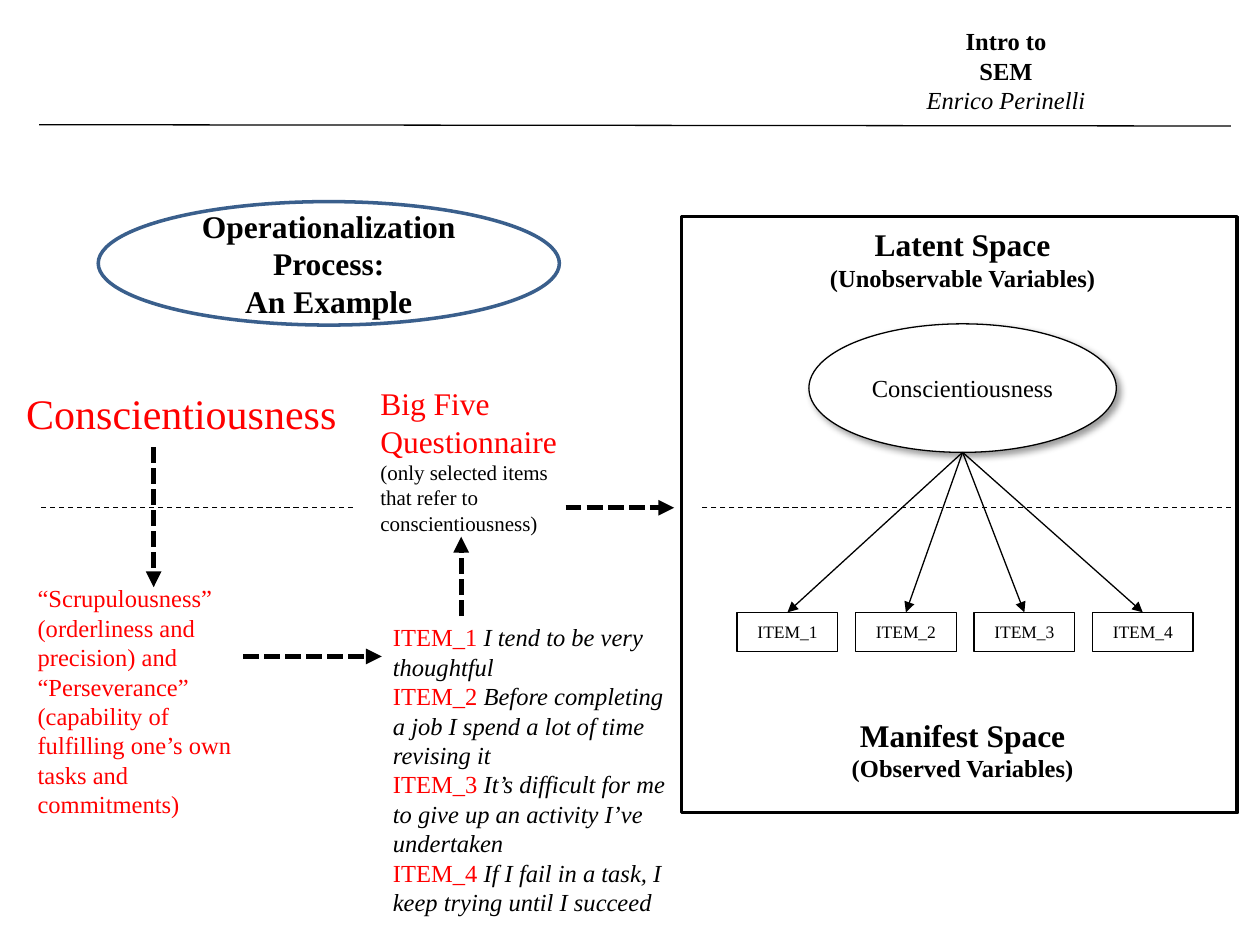
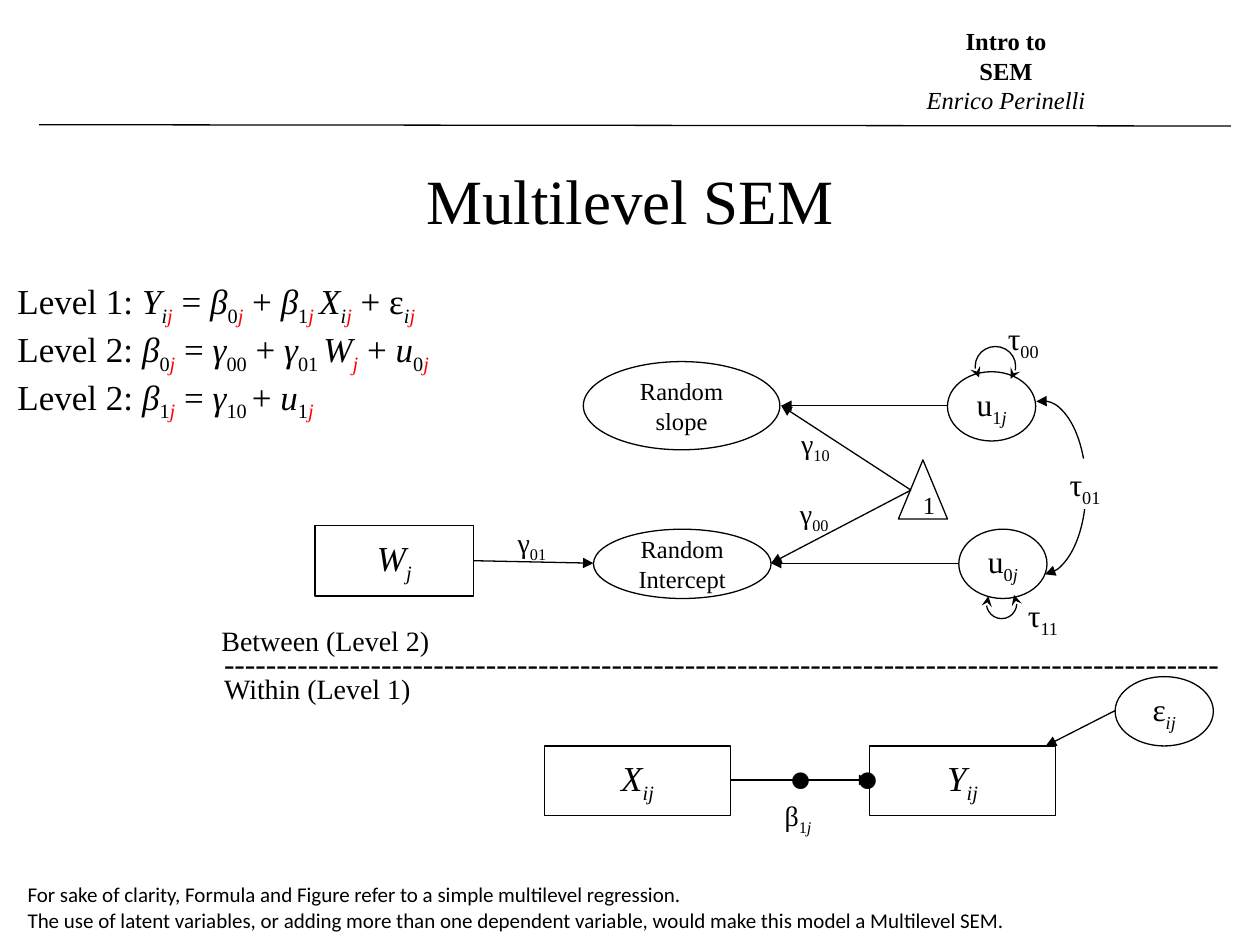
from dataclasses import dataclass

import pptx
import pptx.dml.color
import pptx.enum.dml
import pptx.enum.shapes
import pptx.enum.text
import pptx.oxml
import pptx.oxml.ns
import pptx.util

Inches = pptx.util.Inches
Pt = pptx.util.Pt
Shape = pptx.enum.shapes.MSO_SHAPE
Dash = pptx.enum.dml.MSO_LINE
Align = pptx.enum.text.PP_ALIGN


def color(value):
    return pptx.dml.color.RGBColor.from_string(value)


@dataclass(frozen=True)
class Theme:
    black = color("000000")
    red = color("FF0000")
    white = color("FFFFFF")
    blue = color("3A5F8C")
    serif = "Times New Roman"
    sans = "Calibri"
    title = 36
    dot = 80
    concept = 24
    formula = 20
    heading = 18
    label = 16
    body = 14
    note = 12
    item = 10
    thin = 0.75
    frame = 2
    thick = 3


THEME = Theme()


# Text: a paragraph is a list of (text, style) runs.
# Style letters: b bold, i italic, r red, s subscript.
def write(shape, paragraphs, size, align=Align.LEFT, font=THEME.serif):
    """Fill a shape; a run may carry its own size as a third value."""
    frame = shape.text_frame
    for number, runs in enumerate(paragraphs):
        paragraph = frame.paragraphs[0] if number == 0 else frame.add_paragraph()
        paragraph.alignment = align
        for text, style, *own_size in runs:
            run = paragraph.add_run()
            run.text = text
            run.font.name = font
            run.font.size = Pt(own_size[0] if own_size else size)
            run.font.bold = "b" in style
            run.font.italic = "i" in style
            run.font.color.rgb = THEME.red if "r" in style else THEME.black
            if "s" in style:
                run._r.get_or_add_rPr().set("baseline", "-25000")


def add_text(slide, box, paragraphs, size, align=Align.LEFT, wrap=False,
             font=THEME.serif):
    shape = slide.shapes.add_textbox(*map(Inches, box))
    shape.text_frame.word_wrap = wrap
    shape.text_frame.auto_size = pptx.enum.text.MSO_AUTO_SIZE.SHAPE_TO_FIT_TEXT
    write(shape, paragraphs, size, align, font)
    return shape


def add_node(slide, kind, box, paragraphs=(), size=THEME.body,
             line=THEME.black, width=THEME.thin):
    """Outlined shape with centred text."""
    shape = slide.shapes.add_shape(kind, *map(Inches, box))
    shape.shadow.inherit = False
    shape.fill.background()
    shape.line.color.rgb = line
    shape.line.width = Pt(width)
    shape.text_frame.vertical_anchor = pptx.enum.text.MSO_ANCHOR.MIDDLE
    write(shape, paragraphs, size, Align.CENTER)
    return shape


def add_effects(shape, content=""):
    properties = shape._element.spPr
    for old in properties.findall(pptx.oxml.ns.qn("a:effectLst")):
        properties.remove(old)
    namespace = pptx.oxml.ns.nsdecls("a")
    properties.append(pptx.oxml.parse_xml(
        f"<a:effectLst {namespace}>{content}</a:effectLst>"))


def add_arrowhead(shape, end, kind="triangle"):
    line = shape.line._get_or_add_ln()
    namespace = pptx.oxml.ns.nsdecls("a")
    line.append(pptx.oxml.parse_xml(f'<a:{end} {namespace} type="{kind}"/>'))


def add_line(slide, start, end, arrow=False, width=THEME.thin, dash=None):
    line = slide.shapes.add_connector(
        pptx.enum.shapes.MSO_CONNECTOR.STRAIGHT, *map(Inches, start + end))
    line.line.color.rgb = THEME.black
    line.line.width = Pt(width)
    if dash:
        line.line.dash_style = dash
    if arrow:
        add_arrowhead(line, "tailEnd")
    add_effects(line)
    return line


def add_arc(slide, box, start, end, head):
    """Double-headed arc, clockwise between two angles in degrees."""
    arc = add_node(slide, Shape.ARC, box)
    for index, angle in enumerate((start, end)):
        arc.adjustments[index] = angle * 0.6
    add_arrowhead(arc, "headEnd", head)
    add_arrowhead(arc, "tailEnd", head)


def add_header(slide):
    add_line(slide, (0.31, 0.99), (9.77, 1))
    add_text(slide, (7.25, 0.16, 1.47, 0.81),
             [[("Intro to", "b")], [("SEM", "b")], [("Enrico Perinelli", "i")]],
             THEME.body, Align.CENTER)


def build_operationalization(slide):
    add_header(slide)

    # Left: from the construct to the questionnaire
    add_node(slide, Shape.OVAL, (0.78, 1.6, 3.66, 0.98),
             [[("Operationalization Process:", "b")], [("An Example", "b")]],
             THEME.heading, THEME.blue, THEME.frame)
    add_text(slide, (0.11, 3.03, 2.69, 0.5), [[("Conscientiousness", "r")]],
             THEME.concept)
    add_text(slide, (0.2, 4.58, 1.91, 1.99),
             [[("“Scrupulousness” (orderliness and precision) and “Perseverance” "
                "(capability of fulfilling one’s own tasks and commitments)", "r")]],
             THEME.body, wrap=True)
    statements = ["I tend to be very thoughtful",
                  "Before completing a job I spend a lot of time revising it",
                  "It’s difficult for me to give up an activity I’ve undertaken",
                  "If I fail in a task, I keep trying until I succeed"]
    add_text(slide, (3.02, 4.89, 2.37, 2.69),
             [[(f"ITEM_{number} ", "r"), (statement, "i")]
              for number, statement in enumerate(statements, 1)],
             THEME.body, wrap=True)
    add_text(slide, (2.92, 3, 1.62, 1.31),
             [[("Big Five", "r", THEME.heading)],
              [("Questionnaire", "r", THEME.heading)],
              [("only selected items".join(("(", "")), "")],
              [("that refer to", "")], [("conscientiousness)", "")]], THEME.note)

    # Process arrows
    for start, end in [((1.22, 3.55), (1.22, 4.66)), ((1.93, 5.21), (3.03, 5.21)),
                       ((3.66, 4.89), (3.66, 4.26)), ((4.49, 4.03), (5.35, 4.03))]:
        add_line(slide, start, end, True, THEME.thick, Dash.SQUARE_DOT)

    # Border between latent and manifest space
    for right, left in [(2.8, 0.31), (9.77, 5.55)]:
        add_line(slide, (right, 4.03), (left, 4.03), dash=Dash.DASH)

    # Right: measurement model
    add_node(slide, Shape.RECTANGLE, (5.41, 1.72, 4.41, 4.73), width=THEME.frame)
    for box, space, variables in [
            ((6.48, 1.74, 2.32, 0.64), "Latent Space", "(Unobservable Variables)"),
            ((6.65, 5.63, 1.98, 0.64), "Manifest Space", "(Observed Variables)")]:
        add_text(slide, box, [[(space, "b", THEME.heading)], [(variables, "b")]],
                 THEME.body, Align.CENTER)
    factor = add_node(slide, Shape.OVAL, (6.42, 2.57, 2.44, 1.02),
                      [[("Conscientiousness", "")]])
    factor.fill.solid()
    factor.fill.fore_color.rgb = THEME.white
    add_effects(factor, '<a:outerShdw blurRad="50800" dist="38100" dir="2700000" '
                        'algn="tl" rotWithShape="0"><a:srgbClr val="000000">'
                        '<a:alpha val="40000"/></a:srgbClr></a:outerShdw>')
    item_width, item_top = 0.8, 4.86
    for index in range(len(statements)):
        left = 5.85 + 0.94 * index
        add_node(slide, Shape.RECTANGLE, (left, item_top, item_width, 0.31),
                 [[(f"ITEM_{index + 1}", "")]], THEME.item)
        add_line(slide, (7.64, 3.59), (left + item_width / 2, item_top), True)


def build_multilevel(slide):
    add_header(slide)
    add_text(slide, (0.47, 1.23, 9.06, 0.71), [[("Multilevel SEM", "")]],
             THEME.title, Align.CENTER, wrap=True)

    # Equations
    beta_0j = [("β", "i"), ("0", "s"), ("j", "sir")]
    beta_1j = [("β", "i"), ("1", "s"), ("j", "sir")]
    index_ij = [("i", "si"), ("j", "sir")]
    equals, plus = [(" = ", "")], [(" + ", "")]
    add_text(slide, (0.04, 2.17, 4.2, 1.11), [
        [("Level 1: ", ""), ("Y", "i")] + index_ij + equals + beta_0j + plus
        + beta_1j[:2] + [("j ", "sir"), ("X", "i")] + index_ij
        + [(" + ε", "")] + index_ij,
        [("Level 2: ", "")] + beta_0j + equals
        + [("γ", "i"), ("00", "s")] + plus + [("γ", "i"), ("01 ", "s"),
                                              ("W", "i"), ("j", "sir")]
        + plus + [("u", "i"), ("0", "s"), ("j", "sir")],
        [("Level 2: ", "")] + beta_1j + equals
        + [("γ", "i"), ("10 ", "s"), ("+ ", ""), ("u", "i"), ("1", "s"),
           ("j", "sir")],
    ], THEME.formula, wrap=True)

    # Level border
    add_text(slide, (1.66, 4.9, 1.87, 0.37), [[("Between (Level 2)", "")]], THEME.label)
    add_text(slide, (1.68, 5.28, 1.71, 0.37), [[("Within (Level 1)", "")]], THEME.label)
    add_text(slide, (1.68, 5.06, 8.2, 0.4), [[("-" * 95, "")]],
             THEME.heading, wrap=True)

    # Observed variables
    for box, symbol, index in [((2.5, 4.17, 1.26, 0.56), "W", "j"),
                               ((4.32, 5.92, 1.48, 0.55), "X", "ij"),
                               ((6.9, 5.92, 1.48, 0.55), "Y", "ij")]:
        add_node(slide, Shape.RECTANGLE, box, [[(symbol, "i"), (index, "si")]],
                 THEME.formula)

    # Random effects, residuals and constant
    add_node(slide, Shape.OVAL, (4.63, 2.87, 1.56, 0.7), [[("Random slope", "")]])
    add_node(slide, Shape.OVAL, (4.71, 4.2, 1.41, 0.55), [[("Random Intercept", "")]])
    for left, top, number in [(7.52, 2.95, "1"), (7.61, 4.2, "0")]:
        add_node(slide, Shape.OVAL, (left, top, 0.7, 0.55),
                 [[("u", ""), (number, "s"), ("j", "si")]], THEME.heading)
    add_node(slide, Shape.OVAL, (8.85, 5.37, 0.78, 0.55),
             [[("ε", ""), ("ij", "si")]], THEME.heading)
    add_node(slide, Shape.ISOSCELES_TRIANGLE, (7.13, 3.65, 0.39, 0.47), [[("1", "")]])

    # Paths
    for start, end in [((7.52, 3.22), (6.2, 3.22)), ((7.23, 3.89), (6.2, 3.22)),
                       ((7.23, 3.89), (6.12, 4.47)), ((7.61, 4.47), (6.12, 4.47)),
                       ((3.76, 4.45), (4.71, 4.47)), ((5.8, 6.19), (6.9, 6.19)),
                       ((8.85, 5.64), (8.3, 5.92))]:
        add_line(slide, start, end, True)
    for left in (6.12, 6.65):
        add_text(slide, (left, 5.09, 0.48, 1.45), [[(".", "")]], THEME.dot, wrap=True)

    # Variances and covariance
    add_arc(slide, (7.92, 3.18, 0.7, 1.38), 266.24, 88, "triangle")
    add_arc(slide, (7.74, 2.75, 0.32, 0.31), 145, 40, "stealth")
    add_arc(slide, (7.83, 4.67, 0.24, 0.24), 325, 209, "stealth")

    # Parameter labels
    for left, top, index in [(6.26, 3.34, "10"), (6.25, 3.89, "00"), (4.01, 4.12, "01")]:
        add_text(slide, (left, top, 0.45, 0.37), [[("γ", ""), (index, "s")]],
                 THEME.label)
    for left, top, index in [(7.9, 2.48, "00"), (8.06, 4.68, "11"), (8.39, 3.64, "01")]:
        tau = add_text(slide, (left, top, 0.47, 0.4), [[("τ", ""), (index, "s")]],
                       THEME.heading)
    # The covariance label interrupts its arc
    tau.fill.solid()
    tau.fill.fore_color.rgb = THEME.white
    add_text(slide, (6.13, 6.29, 0.43, 0.37),
             [[("β", ""), ("1", "s"), ("j", "si")]], THEME.label)

    # Closing remark
    add_text(slide, (0.12, 6.95, 8.09, 0.5),
             [[("For sake of clarity, Formula and Figure refer to a simple "
                "multilevel regression.", "")],
              [("The use of latent variables, or adding more than one dependent "
                "variable, would make this model a Multilevel SEM.", "")]],
             THEME.note, font=THEME.sans)


def main():
    presentation = pptx.Presentation()
    presentation.slide_width = Inches(10)
    presentation.slide_height = Inches(7.5)
    blank = presentation.slide_layouts[6]
    for build in (build_operationalization, build_multilevel):
        build(presentation.slides.add_slide(blank))
    presentation.save("out.pptx")


if __name__ == "__main__":
    main()
